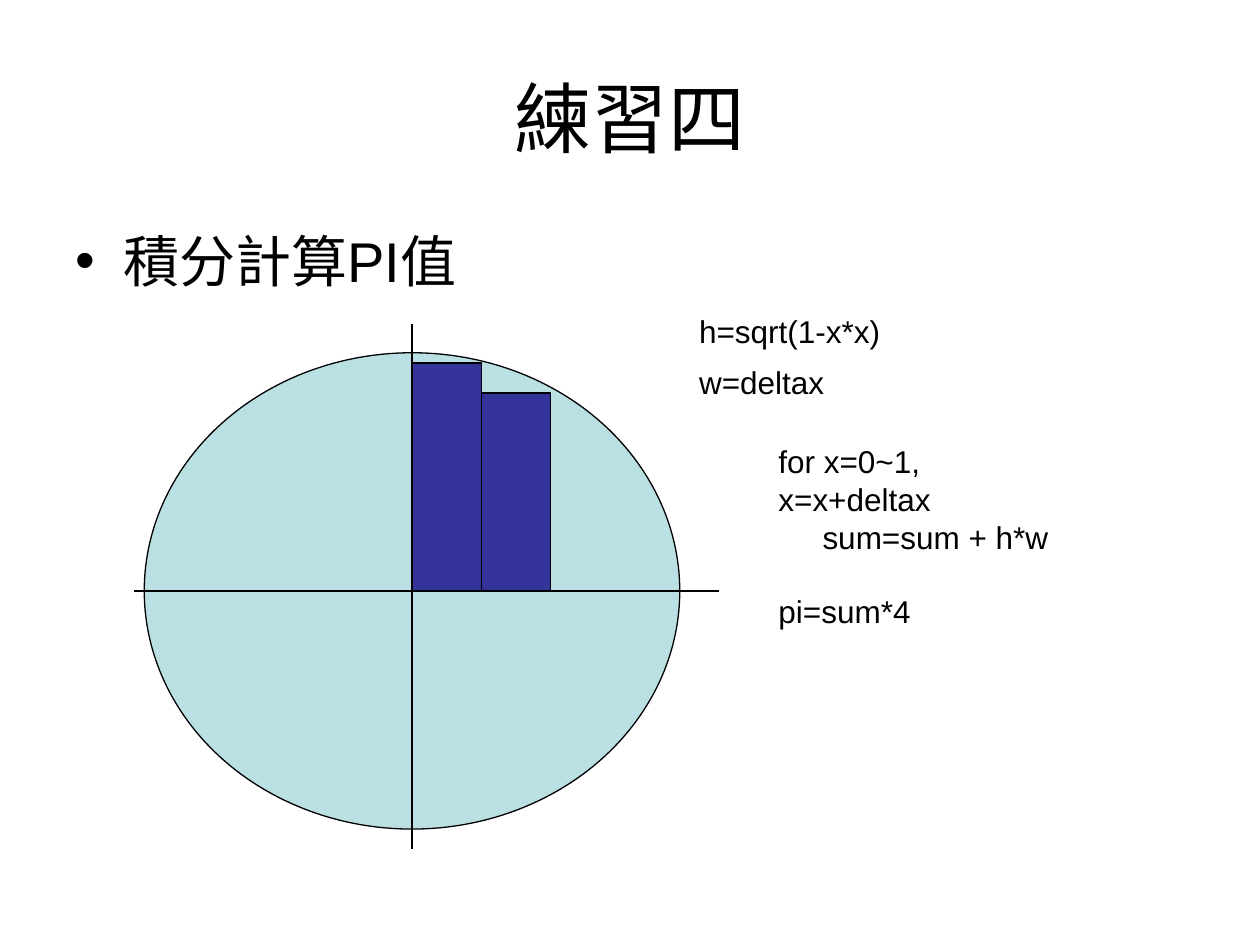
from pptx import Presentation
from pptx.dml.color import RGBColor
from pptx.enum.shapes import MSO_CONNECTOR, MSO_SHAPE
from pptx.enum.text import MSO_ANCHOR, MSO_AUTO_SIZE, PP_ALIGN
from pptx.oxml.ns import qn
from pptx.util import Inches, Pt
from lxml.etree import SubElement


def color(value):
    return RGBColor.from_string(value)


def write_paragraph(paragraph, text, size=18, align=PP_ALIGN.LEFT, before=0,
                    left=0, hanging=0, bullet=None):
    paragraph.alignment = align
    paragraph.space_before = Pt(before)
    properties = paragraph._p.get_or_add_pPr()
    properties.set("marL", str(Inches(left)))
    properties.set("indent", str(-Inches(hanging)))
    if bullet:
        SubElement(properties, qn("a:buFont")).set("typeface", "Arial")
        SubElement(properties, qn("a:buChar")).set("char", bullet)
    run = paragraph.add_run()
    run.text = text
    run.font.name = "Arial"
    run.font.size = Pt(size)
    run.font.color.rgb = color("000000")


class SlideBuilder:
    ink = "000000"
    line_width = 0.75

    def __init__(self, slide):
        self.slide = slide

    def text(self, box, paragraphs, anchor=MSO_ANCHOR.TOP, wrap=True):
        shape = self.slide.shapes.add_textbox(*map(Inches, box))
        frame = shape.text_frame
        frame.word_wrap = wrap
        frame.vertical_anchor = anchor
        frame.auto_size = MSO_AUTO_SIZE.NONE if wrap else MSO_AUTO_SIZE.SHAPE_TO_FIT_TEXT
        for index, (text, style) in enumerate(paragraphs):
            paragraph = frame.add_paragraph() if index else frame.paragraphs[0]
            write_paragraph(paragraph, text, **style)

    def shape(self, kind, box, fill):
        shape = self.slide.shapes.add_shape(kind, *map(Inches, box))
        shape.shadow.inherit = False
        shape.fill.solid()
        shape.fill.fore_color.rgb = color(fill)
        self.outline(shape)

    def line(self, *ends):
        connector = self.slide.shapes.add_connector(
            MSO_CONNECTOR.STRAIGHT, *map(Inches, ends))
        self.outline(connector)
        SubElement(connector._element.spPr, qn("a:effectLst"))

    def outline(self, shape):
        shape.line.color.rgb = color(self.ink)
        shape.line.width = Pt(self.line_width)


presentation = Presentation()
presentation.slide_width = Inches(10)
presentation.slide_height = Inches(7.5)
slide = presentation.slides.add_slide(presentation.slide_layouts[6])
builder = SlideBuilder(slide)

builder.text((0.5, 0.3, 9, 1.25),
             [("練習四", dict(size=44, align=PP_ALIGN.CENTER))],
             anchor=MSO_ANCHOR.MIDDLE)
builder.text((0.5, 1.75, 9, 4.95),
             [("積分計算PI值", dict(size=32, before=6.4, left=0.38,
                                hanging=0.38, bullet="•"))])

center_x, center_y = 3.27, 4.69
circle_width, circle_height = 4.25, 3.78
builder.shape(MSO_SHAPE.OVAL,
              (center_x - circle_width / 2, center_y - circle_height / 2,
               circle_width, circle_height), "BBE0E3")
builder.line(1.06, center_y, 5.71, center_y)
builder.line(center_x, 2.57, center_x, 6.74)

bar_width = 0.55
for index, bar_height in enumerate((1.81, 1.57)):
    builder.shape(MSO_SHAPE.RECTANGLE,
                  (center_x + index * bar_width, center_y - bar_height,
                   bar_width, bar_height), "333399")

builder.text((5.45, 2.43, 1.64, 0.4), [("h=sqrt(1-x*x)", {})], wrap=False)
builder.text((5.45, 2.83, 1.19, 0.4), [("w=deltax", {})], wrap=False)
builder.text((6.08, 3.46, 2.6, 1.3),
             [("for x=0~1, x=x+deltax", {}),
              ("sum=sum + h*w", dict(left=0.35)),
              ("pi=sum*4", dict(before=21))], wrap=False)

presentation.save("out.pptx")
